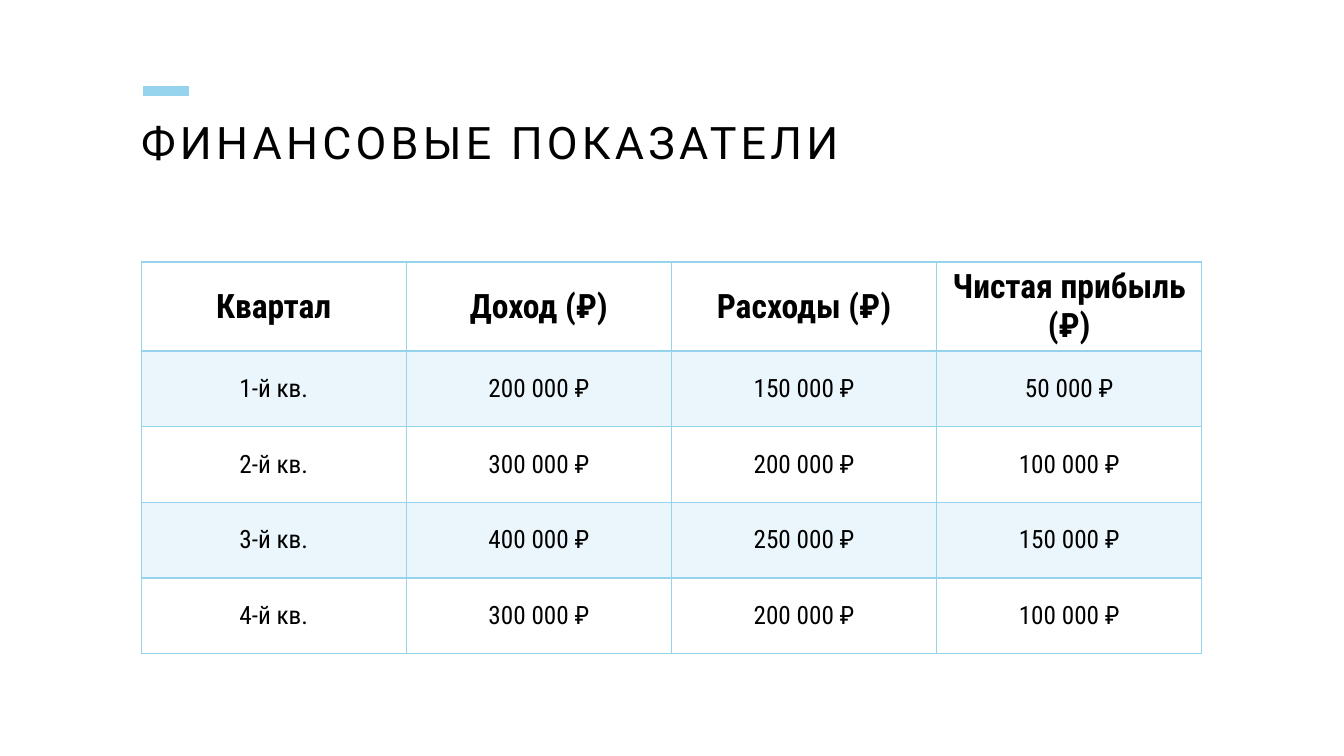
from dataclasses import dataclass

from lxml import etree
from pptx import Presentation, util as u
from pptx.dml.color import RGBColor
from pptx.enum import shapes, text
from pptx.oxml import ns


@dataclass(frozen=True)
class Theme:
    ink: str = "000000"
    sky: str = "96D3ED"
    tint: int = 20
    head: str = "Roboto"
    body: str = "Roboto Condensed"
    title: int = 32
    label: int = 24
    value: int = 18


THEME = Theme()
TITLE = "ФИНАНСОВЫЕ ПОКАЗАТЕЛИ"
ROWS = [
    ["Квартал", "Доход (₽)", "Расходы (₽)", "Чистая прибыль (₽)"],
    ["1-й кв.", "200 000 ₽", "150 000 ₽", "50 000 ₽"],
    ["2-й кв.", "300 000 ₽", "200 000 ₽", "100 000 ₽"],
    ["3-й кв.", "400 000 ₽", "250 000 ₽", "150 000 ₽"],
    ["4-й кв.", "300 000 ₽", "200 000 ₽", "100 000 ₽"],
]


def apply(item, **form):
    for name, value in form.items():
        setattr(item, name, value)


def style(font, name, size, bold=False):
    apply(font, name=name, size=u.Pt(size), bold=bold)
    font.color.rgb = RGBColor.from_string(THEME.ink)


def child(node, tag, **attrs):
    return etree.SubElement(node, ns.qn(tag), attrs)


def add_title(slide):
    box = slide.shapes.title
    apply(box, left=u.Inches(1.4), top=u.Inches(1.2),
          width=u.Inches(10.5), height=u.Inches(1))
    frame = box.text_frame
    apply(frame, text=TITLE, word_wrap=True,
          margin_left=0, margin_right=0, margin_top=0, margin_bottom=0,
          vertical_anchor=text.MSO_ANCHOR.TOP,
          auto_size=text.MSO_AUTO_SIZE.NONE)
    para = frame.paragraphs[0]
    apply(para, alignment=text.PP_ALIGN.LEFT, line_spacing=0.9)
    font = para.runs[0].font
    style(font, THEME.head, THEME.title)
    para.runs[0]._r.get_or_add_rPr().set("spc", "300")


def add_accent(slide):
    bar = slide.shapes.add_connector(
        shapes.MSO_CONNECTOR.STRAIGHT,
        u.Inches(1.42), u.Inches(0.9), u.Inches(1.87), u.Inches(0.9))
    bar.line.width = u.Pt(7)
    bar.line.color.rgb = RGBColor.from_string(THEME.sky)
    child(bar._element.spPr, "a:effectLst")


def set_edges(cell, **widths):
    props = cell._tc.get_or_add_tcPr()
    for side in "LRTB":
        width = u.Pt(widths.get(side, 1))
        line = child(props, f"a:ln{side}", w=str(width))
        child(child(line, "a:solidFill"), "a:srgbClr", val=THEME.sky)


def set_fill(cell, band):
    if not band:
        cell.fill.background()
        return
    cell.fill.solid()
    cell.fill.fore_color.rgb = RGBColor.from_string(THEME.sky)
    color = cell._tc.tcPr.find(ns.qn("a:solidFill"))[0]
    child(color, "a:alpha", val=str(THEME.tint * 1000))


def fill_cell(cell, words, row):
    apply(cell, text=words, vertical_anchor=text.MSO_ANCHOR.MIDDLE)
    para = cell.text_frame.paragraphs[0]
    para.alignment = text.PP_ALIGN.CENTER
    size = THEME.value if row else THEME.label
    style(para.runs[0].font, THEME.body, size, bold=row == 0)
    set_edges(cell, T=2 if row == 1 else 1, B=1 if row else 2)
    set_fill(cell, row % 2 == 1)


def add_grid(slide):
    table = slide.shapes.add_table(
        len(ROWS), len(ROWS[0]), u.Inches(1.4), u.Inches(2.6),
        u.Inches(10.52), u.Inches(3.75)).table
    apply(table, first_row=False, horz_banding=False)
    for row, line in enumerate(ROWS):
        for col, words in enumerate(line):
            fill_cell(table.cell(row, col), words, row)


def main():
    deck = Presentation()
    apply(deck, slide_width=u.Inches(13.33), slide_height=u.Inches(7.5))
    slide = deck.slides.add_slide(deck.slide_layouts.get_by_name("Title Only"))
    add_accent(slide)
    add_title(slide)
    add_grid(slide)
    deck.save("out.pptx")


if __name__ == "__main__":
    main()
